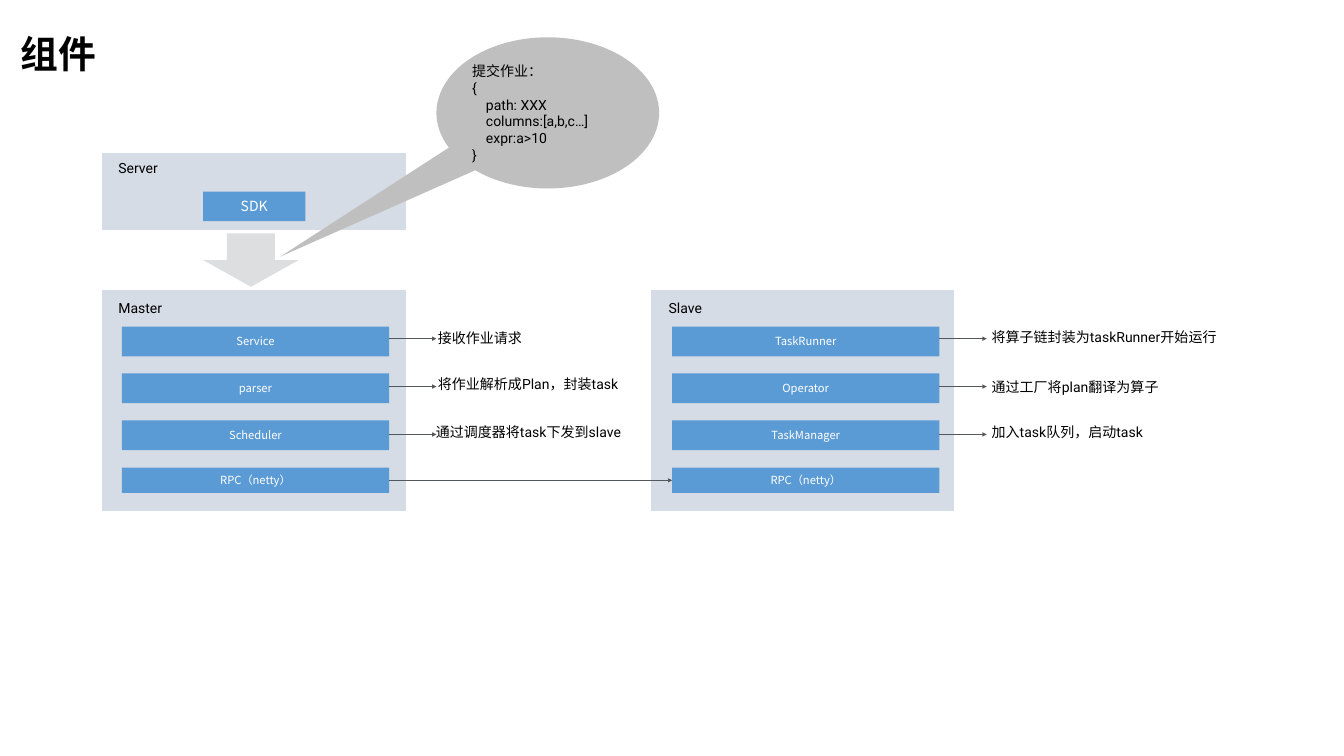
from dataclasses import dataclass

from lxml import etree
from pptx import Presentation
from pptx.dml.color import RGBColor
from pptx.enum.shapes import MSO_CONNECTOR, MSO_SHAPE
from pptx.enum.text import MSO_ANCHOR, PP_ALIGN
from pptx.oxml.ns import qn
from pptx.util import Inches, Pt

RECT, ARROW, CALLOUT = MSO_SHAPE.RECTANGLE, MSO_SHAPE.DOWN_ARROW, MSO_SHAPE.OVAL_CALLOUT
LEFT, CENTER = PP_ALIGN.LEFT, PP_ALIGN.CENTER
TOP, MIDDLE = MSO_ANCHOR.TOP, MSO_ANCHOR.MIDDLE


@dataclass(frozen=True)
class Theme:
    black: str = "000000"
    white: str = "FFFFFF"
    panel: str = "D6DCE5"
    bar: str = "5B9BD5"
    arrow: str = "DCDEE0"
    bubble: str = "BFBFBF"
    link: str = "53585F"
    body_font: str = "Roboto"
    cjk_font: str = "Noto Sans CJK SC"
    title_size: int = 54
    body_size: int = 20
    bar_size: int = 16


THEME = Theme()

TITLE = "组件"
JOB = ["提交作业：", "{", "    path: XXX", "    columns:[a,b,c…]", "    expr:a>10", "}"]
# Each note: left, top, width, text
NODES = [
    {
        "name": "Master", "panel_left": 2.02, "bar_left": 2.42,
        "bars": ["Service", "parser", "Scheduler", "RPC（netty）"],
        "notes": [
            (8.59, 6.49, 1.88, "接收作业请求"),
            (8.59, 7.41, 3.85, "将作业解析成Plan，封装task"),
            (8.55, 8.36, 3.99, "通过调度器将task下发到slave"),
        ],
    },
    {
        "name": "Slave", "panel_left": 12.9, "bar_left": 13.34,
        "bars": ["TaskRunner", "Operator", "TaskManager", "RPC（netty）"],
        "notes": [
            (19.58, 6.47, 4.69, "将算子链封装为taskRunner开始运行"),
            (19.58, 7.46, 3.57, "通过工厂将plan翻译为算子"),
            (19.58, 8.36, 3.29, "加入task队列，启动task"),
        ],
    },
]

PANEL_WIDTH, PANEL_TOP, PANEL_HEIGHT = 6.04, 5.74, 4.41
BAR_WIDTH, BAR_HEIGHT, RPC_HEIGHT = 5.3, 0.59, 0.5
BAR_TOP, BAR_PITCH, RPC_TOP = 6.48, 0.93, 9.28
LINK_TOP, LINK_PITCH, LINK_LENGTH = 6.72, 0.95, 0.94
LABEL_WIDTH, LABEL_HEIGHT = 1.27, 0.44


def write(shape, lines, size, color, font=THEME.body_font, align=LEFT,
          anchor=TOP, inset=None, bold=False):
    frame = shape.text_frame
    frame.text = "\n".join(lines)
    frame.word_wrap = True
    frame.vertical_anchor = anchor
    if inset is not None:
        frame.margin_left = frame.margin_right = Inches(inset)
        frame.margin_top = frame.margin_bottom = Inches(inset)
    for para in frame.paragraphs:
        para.alignment = align
        for span in para.runs:
            span.font.size = Pt(size)
            span.font.name = font
            span.font.bold = bold
            span.font.color.rgb = RGBColor.from_string(color)
            east_asian = etree.SubElement(span.font._element, qn("a:ea"))
            east_asian.set("typeface", THEME.cjk_font)


def add_block(page, kind, at, fill, border=None):
    shape = page.shapes.add_shape(kind, *map(Inches, at))
    shape.shadow.inherit = False
    shape.fill.solid()
    shape.fill.fore_color.rgb = RGBColor.from_string(fill)
    if border:
        shape.line.color.rgb = RGBColor.from_string(border)
        shape.line.width = Pt(1.5)
    else:
        shape.line.fill.background()
    return shape


def add_panel(page, at):
    add_block(page, RECT, at, THEME.panel, THEME.white)


def add_bar(page, at, text, size=THEME.bar_size):
    bar = add_block(page, RECT, at, THEME.bar)
    write(bar, [text], size, THEME.white, THEME.cjk_font, CENTER, MIDDLE, 0.05)


def add_label(page, left, top, width, text):
    box = page.shapes.add_textbox(*map(Inches, (left, top, width, LABEL_HEIGHT)))
    write(box, [text], THEME.body_size, THEME.black)


def add_link(page, start, end, y):
    link = page.shapes.add_connector(
        MSO_CONNECTOR.STRAIGHT, *map(Inches, (start, y, end, y)))
    link.line.color.rgb = RGBColor.from_string(THEME.link)
    link.line.width = Pt(2)
    etree.SubElement(link.line._get_or_add_ln(), qn("a:tailEnd")).set("type", "triangle")
    etree.SubElement(link._element.spPr, qn("a:effectLst"))


def add_title(page):
    title = page.shapes.title
    title.left, title.top, title.width, title.height = map(Inches, (0.3, 0.55, 1.72, 1.01))
    write(title, [TITLE], THEME.title_size, THEME.black, align=CENTER, bold=True)
    title.text_frame.paragraphs[0].line_spacing = 1.0


def add_server(page):
    add_panel(page, (2.02, 3.03, PANEL_WIDTH, 1.54))
    add_bar(page, (4.03, 3.8, 2.03, BAR_HEIGHT), "SDK", THEME.body_size)
    add_label(page, 2.25, 3.12, LABEL_WIDTH, "Server")
    add_block(page, ARROW, (4.03, 4.63, 1.9, 1.06), THEME.arrow)
    bubble = add_block(page, CALLOUT, (8.66, 0.74, 4.42, 3), THEME.bubble)
    bubble.adjustments[0], bubble.adjustments[1] = -1.2, 0.95
    write(bubble, JOB, THEME.body_size, THEME.black, anchor=MIDDLE, inset=0.06)


def add_node(page, node):
    left = node["bar_left"]
    right = left + BAR_WIDTH
    add_panel(page, (node["panel_left"], PANEL_TOP, PANEL_WIDTH, PANEL_HEIGHT))
    add_label(page, left - 0.17, 5.9, LABEL_WIDTH, node["name"])
    *steps, rpc = node["bars"]
    for row, step in enumerate(steps):
        add_bar(page, (left, BAR_TOP + row * BAR_PITCH, BAR_WIDTH, BAR_HEIGHT), step)
    add_bar(page, (left, RPC_TOP, BAR_WIDTH, RPC_HEIGHT), rpc)
    for row, note in enumerate(node["notes"]):
        add_link(page, right, right + LINK_LENGTH, LINK_TOP + row * LINK_PITCH)
        add_label(page, *note)


def main():
    deck = Presentation()
    deck.slide_width, deck.slide_height = Inches(26.67), Inches(15)
    page = deck.slides.add_slide(deck.slide_layouts[5])
    add_title(page)
    add_server(page)
    for node in NODES:
        add_node(page, node)
    master, slave = NODES
    add_link(page, master["bar_left"] + BAR_WIDTH, slave["bar_left"],
             RPC_TOP + RPC_HEIGHT / 2)
    deck.save("out.pptx")


if __name__ == "__main__":
    main()
